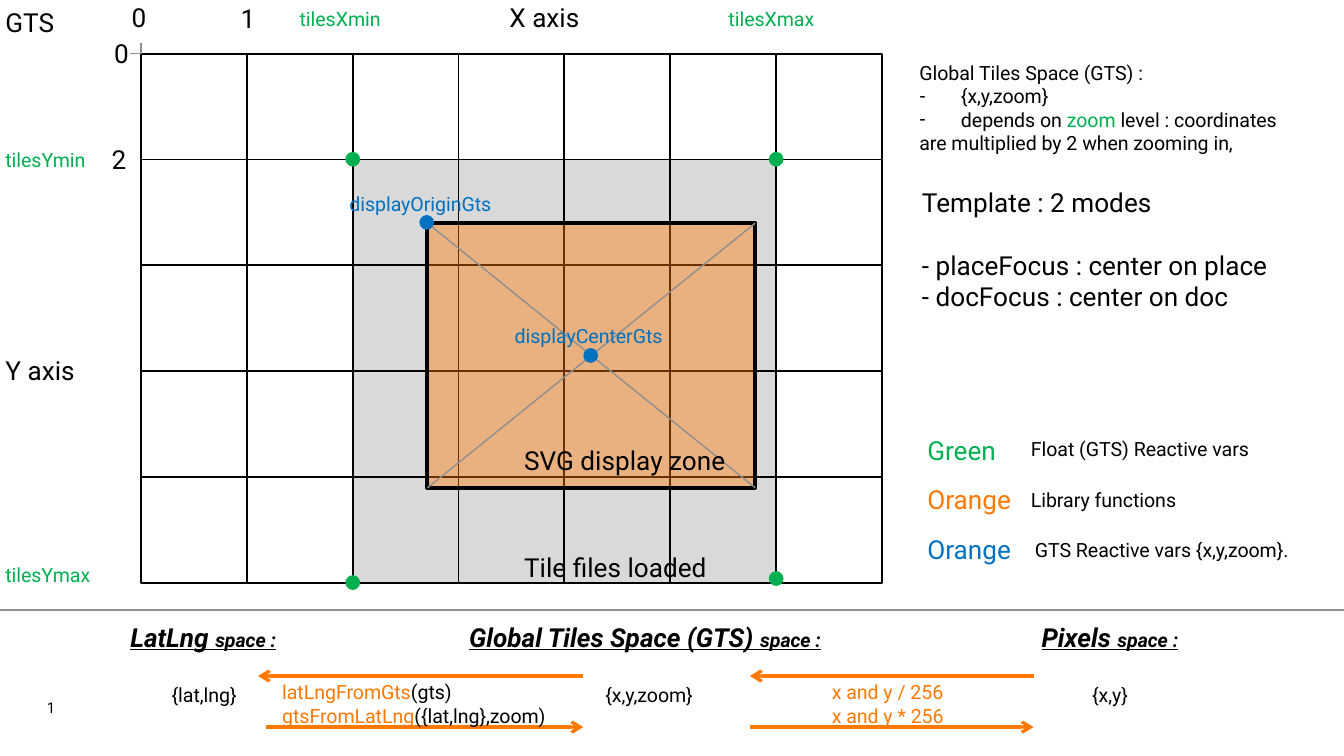
import itertools
from dataclasses import dataclass

import pptx
import pptx.dml.color
import pptx.enum.shapes
import pptx.enum.text
import pptx.oxml
import pptx.oxml.ns
import pptx.util

Inches, Pt = pptx.util.Inches, pptx.util.Pt
PP_ALIGN = pptx.enum.text.PP_ALIGN
ANCHOR = pptx.enum.text.MSO_ANCHOR
SHAPE = pptx.enum.shapes.MSO_SHAPE

COLORS = {
    "black": "000000", "white": "FFFFFF", "tile": "D9D9D9", "gray": "8F8F8F",
    "green": "00B050", "orange": "FF7900", "blue": "0070C0",
}
FONT = "Roboto"
LARGE, SMALL = 14, 10.5
LINE_GAP = 16.5  # one empty line of large text, in points
GRID_X, GRID_Y, COLS, ROWS = 1.05, 0.4, 7, 5
TILE = 5.51 / COLS
DOT = 0.11


@dataclass
class Label:
    x: float
    y: float
    w: float
    text: str
    size: float = LARGE
    color: str = "black"


@dataclass
class Line:
    x1: float
    y1: float
    x2: float
    y2: float
    color: str = "gray"
    width: float = 0.75
    arrow: bool = False


@dataclass
class Space:
    x: float
    y: float
    w: float
    name: str
    coords: str


@dataclass
class Dot:
    x: float
    y: float
    color: str


def rgb(name: str) -> pptx.dml.color.RGBColor:
    return pptx.dml.color.RGBColor.from_string(COLORS[name])


def format_run(r, size: float, color: str = "black", heading: bool = False) -> None:
    r.font.name = FONT
    r.font.size = Pt(size)
    r.font.color.rgb = rgb(color)
    if heading:
        r.font.bold = r.font.italic = r.font.underline = True


def format_frame(tf, wrap: bool = True, anchor=ANCHOR.TOP) -> None:
    tf.margin_left = tf.margin_right = tf.margin_top = tf.margin_bottom = 0
    tf.word_wrap = wrap
    tf.auto_size = pptx.enum.text.MSO_AUTO_SIZE.NONE
    tf.vertical_anchor = anchor


def place(sp, x: float, y: float, w: float, h: float) -> None:
    sp.left, sp.top, sp.width, sp.height = map(Inches, (x, y, w, h))


def add_text(slide, x: float, y: float, w: float, h: float, text: str,
             size: float = LARGE, color: str = "black", wrap: bool = True):
    sp = slide.shapes.add_textbox(Inches(x), Inches(y), Inches(w), Inches(h))
    tf = sp.text_frame
    format_frame(tf, wrap)
    tf.text = text
    for p in tf.paragraphs:
        for r in p.runs:
            format_run(r, size, color)
    return tf


def add_label(slide, label: Label) -> None:
    h = 0.24 if label.size == LARGE else 0.18
    add_text(slide, label.x, label.y, label.w, h, label.text, label.size, label.color)


def add_box(slide, kind, x: float, y: float, w: float, h: float, fill: str, border: float = 0):
    sp = slide.shapes.add_shape(kind, Inches(x), Inches(y), Inches(w), Inches(h))
    sp.shadow.inherit = False
    sp.fill.solid()
    sp.fill.fore_color.rgb = rgb(fill)
    if border:
        sp.line.color.rgb = rgb("black")
        sp.line.width = Pt(border)
    else:
        sp.line.fill.background()
    return sp


def add_line(slide, line: Line) -> None:
    cxn = slide.shapes.add_connector(
        pptx.enum.shapes.MSO_CONNECTOR.STRAIGHT,
        Inches(line.x1), Inches(line.y1), Inches(line.x2), Inches(line.y2))
    cxn.line.color.rgb = rgb(line.color)
    cxn.line.width = Pt(line.width)
    if line.arrow:
        ln = cxn.line.fill._xPr
        ln.append(pptx.oxml.parse_xml(
            f'<a:tailEnd {pptx.oxml.ns.nsdecls("a")} type="arrow"/>'))
    cxn._element.spPr.append(
        pptx.oxml.parse_xml(f'<a:effectLst {pptx.oxml.ns.nsdecls("a")}/>'))


def add_space(slide, space: Space) -> None:
    tf = add_text(slide, space.x, space.y, space.w, 0.65, space.name + " ", wrap=False)
    p = tf.paragraphs[0]
    format_run(p.runs[0], LARGE, heading=True)
    r = p.add_run()
    r.text = "space :"
    format_run(r, SMALL, heading=True)
    p = tf.add_paragraph()
    p.text = space.coords
    p.alignment = PP_ALIGN.CENTER
    p.space_before = Pt(LINE_GAP)
    format_run(p.runs[0], SMALL)


def set_bullet(p, char: str = "") -> None:
    pPr = p._p.get_or_add_pPr()
    pPr.set("marL", str(Inches(0.31) if char else 0))
    pPr.set("indent", str(-Inches(0.31) if char else 0))
    tag = f'buChar char="{char}"' if char else "buNone"
    name, _, attrs = tag.partition(" ")
    pPr.append(pptx.oxml.parse_xml(f'<a:{name} {pptx.oxml.ns.nsdecls("a")} {attrs}/>'))


# 16:9 slide
prs = pptx.Presentation()
prs.slide_width = Inches(10)
prs.slide_height = prs.slide_width * 9 // 16
slide = prs.slides.add_slide(prs.slide_layouts[1])

# Title
title = slide.shapes.title
place(title, 0.04, 0.05, 0.4, 0.24)
format_frame(title.text_frame)
title.text_frame.text = "GTS"
p = title.text_frame.paragraphs[0]
p.alignment = PP_ALIGN.LEFT
format_run(p.runs[0], LARGE)

# Description list
body = slide.placeholders[1]
place(body, 6.84, 0.45, 2.93, 0.71)
tf = body.text_frame
format_frame(tf)
DESCRIPTION = [
    ("", [("Global Tiles Space (GTS) : ", "black")]),
    ("-", [("{x,y,zoom}", "black")]),
    ("-", [("depends on ", "black"), ("zoom ", "green"), ("level : coordinates ", "black")]),
    ("", [("are multiplied by 2 when zooming in, ", "black")]),
]
for i, (bullet, parts) in enumerate(DESCRIPTION):
    p = tf.add_paragraph() if i else tf.paragraphs[0]
    p.space_before = Pt(0)
    set_bullet(p, bullet)
    for text, color in parts:
        r = p.add_run()
        r.text = text
        format_run(r, SMALL, color)

# Tile grid, with the loaded tiles in gray
for col, row in itertools.product(range(COLS), range(ROWS)):
    loaded = 2 <= col <= 5 and row >= 1
    add_box(slide, SHAPE.RECTANGLE, GRID_X + col * TILE, GRID_Y + row * TILE,
            TILE, TILE, "tile" if loaded else "white", 1)

# Display zone
zone = add_box(slide, SHAPE.RECTANGLE, 3.18, 1.66, 2.44, 1.97, "orange", 2)
zone.fill._xPr.solidFill[0].append(pptx.oxml.parse_xml(
    f'<a:alpha {pptx.oxml.ns.nsdecls("a")} val="41000"/>'))

# Axis ticks, diagonals, divider and conversion arrows
LINES = [
    Line(1.05, 0.4, 0.97, 0.4), Line(1.05, 0.4, 1.05, 0.32),
    Line(5.62, 1.66, 3.18, 3.63), Line(3.18, 1.66, 5.62, 3.63),
    Line(0, 4.54, 10, 4.54),
] + [Line(x1, y, x2, y, "orange", 1.75, True) for x1, x2, y in (
    (4.34, 1.92, 5.03), (1.98, 4.34, 5.41), (7.69, 5.58, 5.03), (5.58, 7.69, 5.41))]
for line in LINES:
    add_line(slide, line)

# Reference points
DOTS = [
    Dot(3.12, 1.6, "blue"), Dot(4.34, 2.59, "blue"),
    Dot(2.57, 1.13, "green"), Dot(5.72, 1.13, "green"),
    Dot(2.57, 4.28, "green"), Dot(5.72, 4.25, "green"),
]
for dot in DOTS:
    add_box(slide, SHAPE.OVAL, dot.x, dot.y, DOT, DOT, dot.color)

# Axis, point and legend labels
LABELS = [
    Label(0.98, 0.01, 0.17, "0"), Label(1.79, 0.02, 0.11, "1"),
    Label(0.85, 0.28, 0.11, "0"), Label(0.83, 1.07, 0.11, "2"),
    Label(3.79, 0.01, 0.62, "X axis"), Label(0.04, 2.64, 0.62, "Y axis"),
    Label(2.23, 0.05, 0.67, "tilesXmin", SMALL, "green"),
    Label(5.42, 0.05, 0.69, "tilesXmax", SMALL, "green"),
    Label(0.04, 1.1, 0.65, "tilesYmin", SMALL, "green"),
    Label(0.04, 4.19, 0.7, "tilesYmax", SMALL, "green"),
    Label(2.6, 1.43, 1.17, "displayOriginGts", SMALL, "blue"),
    Label(3.83, 2.41, 1.21, "displayCenterGts", SMALL, "blue"),
    Label(3.9, 3.31, 1.62, "SVG display zone"),
    Label(3.9, 4.1, 1.46, "Tile files loaded"),
    Label(6.9, 3.23, 0.57, "Green", LARGE, "green"),
    Label(6.9, 3.6, 0.69, "Orange", LARGE, "orange"),
    Label(6.9, 3.97, 0.69, "Orange", LARGE, "blue"),
    Label(7.67, 3.25, 1.81, "Float (GTS) Reactive vars ", SMALL),
    Label(7.67, 3.63, 1.19, "Library functions", SMALL),
    Label(7.7, 4, 2.09, "GTS Reactive vars {x,y,zoom}.", SMALL),
]
for label in LABELS:
    add_label(slide, label)

# Template modes
tf = add_text(slide, 6.86, 1.39, 2.82, 0.94,
              "Template : 2 modes\n- placeFocus : center on place\n- docFocus : center on doc")
tf.paragraphs[1].space_before = Pt(LINE_GAP)

# Coordinate spaces
for space in (Space(0.97, 4.62, 1.1, "LatLng", "{lat,lng}"),
              Space(3.49, 4.62, 2.68, "Global Tiles Space (GTS)", "{x,y,zoom}"),
              Space(7.75, 4.62, 1.02, "Pixels", "{x,y}")):
    add_space(slide, space)

# Conversions
tf = add_text(slide, 2.1, 5.06, 2.74, 0.35, "latLngFromGts\ngtsFromLatLng", SMALL, "orange")
for p, arguments in zip(tf.paragraphs, ("(gts)", "({lat,lng},zoom)")):
    r = p.add_run()
    r.text = arguments
    format_run(r, SMALL)
add_text(slide, 6.19, 5.06, 1.56, 0.35, "x and y / 256\nx and y * 256", SMALL, "orange")

# Slide number
tf = add_text(slide, 0.35, 4.96, 0.3, 0.37, "1", 8)
tf.vertical_anchor = ANCHOR.BOTTOM

prs.save("out.pptx")
